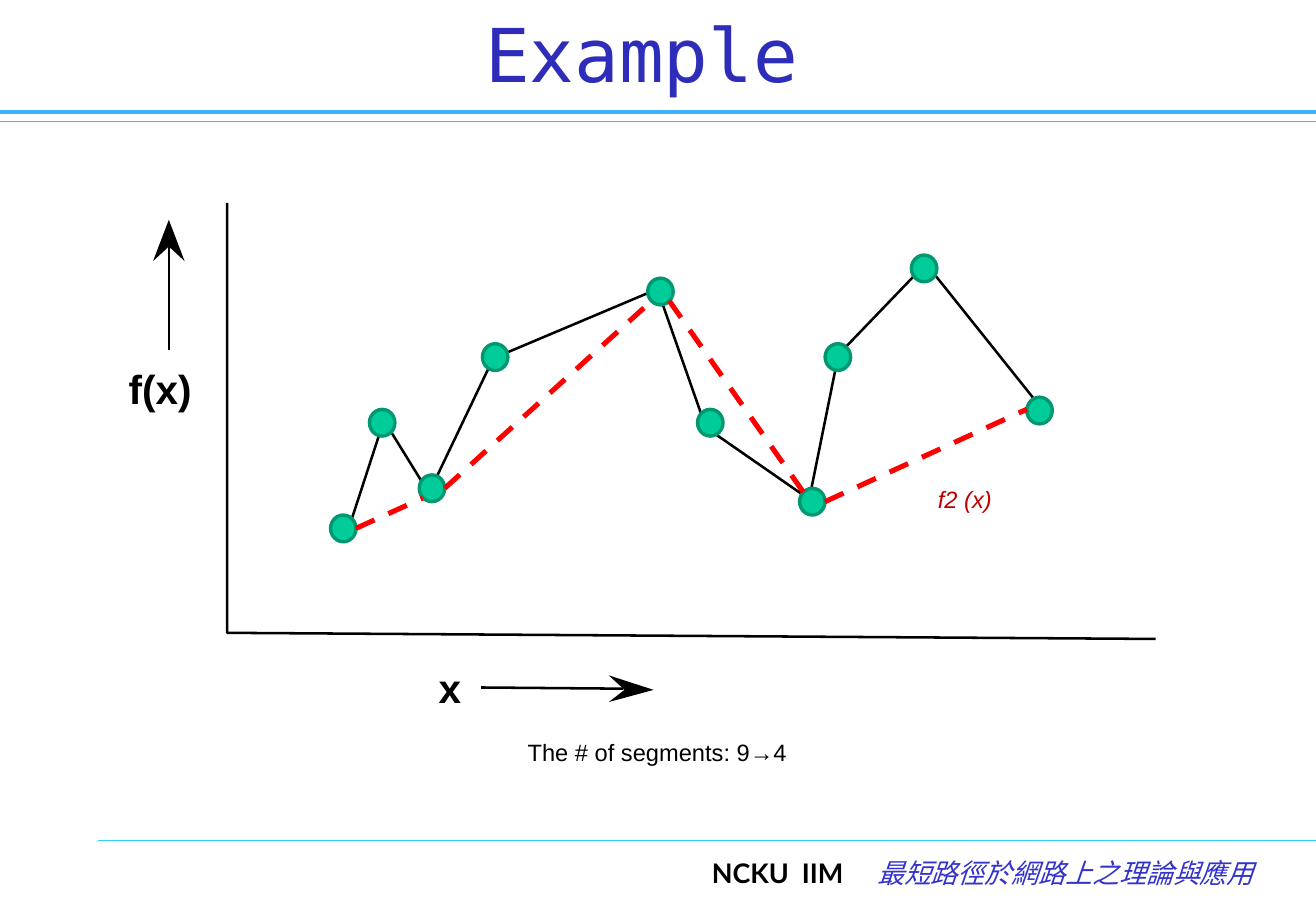
from lxml import etree
from pptx import Presentation
from pptx.dml.color import RGBColor
from pptx.enum.dml import MSO_LINE_DASH_STYLE as Dash
from pptx.enum.shapes import MSO_CONNECTOR as Conn, MSO_SHAPE as Shape
from pptx.enum.text import MSO_ANCHOR as Anchor, MSO_AUTO_SIZE as AutoSize, PP_ALIGN as Align
from pptx.oxml.ns import qn
from pptx.util import Inches, Pt

BLACK = RGBColor(0x00, 0x00, 0x00)
RED = RGBColor(0xFF, 0x00, 0x00)
DARK_RED = RGBColor(0xC0, 0x00, 0x00)
TITLE_BLUE = RGBColor(0x2D, 0x2D, 0xB9)
FOOTER_BLUE = RGBColor(0x33, 0x33, 0xCC)
RULE_BLUE = RGBColor(0x3D, 0xB0, 0xFF)
RULE_CYAN = RGBColor(0x33, 0xCC, 0xFF)
GREEN = RGBColor(0x00, 0xCC, 0x99)
DARK_GREEN = RGBColor(0x00, 0x97, 0x71)

MONO = "DejaVu Sans Mono"
SLIDE_W, SLIDE_H = 10.83, 7.5
DOT_W, DOT_H = 0.21, 0.22

AXES = [(1.87, 1.67), (1.87, 5.21), (9.51, 5.26)]
X_ARROWHEAD = [(5.38, 5.68), (5.01, 5.78), (5.14, 5.68), (5.01, 5.56)]
Y_ARROWHEAD = [(1.39, 1.81), (1.52, 2.15), (1.39, 2.03), (1.26, 2.15)]
CURVE = [(2.87, 4.35), (3.16, 3.46), (3.53, 4.06), (4.06, 2.95), (5.41, 2.38),
         (5.81, 3.52), (6.66, 4.11), (6.9, 2.92), (7.62, 2.17), (8.57, 3.36)]
DOTS = [(2.72, 4.24), (3.04, 3.37), (3.45, 3.91), (3.97, 2.83), (5.33, 2.29),
        (5.74, 3.37), (6.58, 4.02), (6.79, 2.83), (7.5, 2.1), (8.45, 3.27)]
SHORTCUTS = [((2.93, 4.35), (3.48, 4.1)), ((3.66, 4.02), (5.36, 2.48)),
             ((6.61, 4.05), (5.51, 2.48)), ((6.79, 4.13), (8.45, 3.37))]


def add_line(slide, start, end, color, width, dash=None):
    ends = [Inches(v) for v in (*start, *end)]
    line = slide.shapes.add_connector(Conn.STRAIGHT, *ends)
    line.line.color.rgb = color
    line.line.width = Pt(width)
    if dash:
        line.line.dash_style = dash
    etree.SubElement(line._element.spPr, qn("a:effectLst"))


def add_outline(slide, points, closed):
    """Draw a filled black polygon if closed, else an open black polyline."""
    pts = [(Inches(x), Inches(y)) for x, y in points]
    builder = slide.shapes.build_freeform(*pts[0])
    builder.add_line_segments(pts[1:], close=closed)
    sp = builder.convert_to_shape()
    sp.shadow.inherit = False
    if closed:
        sp.fill.solid()
        sp.fill.fore_color.rgb = BLACK
        sp.line.fill.background()
    else:
        sp.fill.background()
        sp.line.color.rgb = BLACK
        sp.line.width = Pt(1.5)


def add_dot(slide, left, top):
    sp = slide.shapes.add_shape(Shape.OVAL, Inches(left), Inches(top),
                                Inches(DOT_W), Inches(DOT_H))
    sp.shadow.inherit = False
    sp.fill.solid()
    sp.fill.fore_color.rgb = GREEN
    sp.line.color.rgb = DARK_GREEN
    sp.line.width = Pt(2)


def add_text(slide, box, text, size, color, name="Arial", bold=False, italic=False,
             align=Align.LEFT, wrap=False, inset=True, anchor=Anchor.TOP):
    tf = slide.shapes.add_textbox(*[Inches(v) for v in box]).text_frame
    tf.word_wrap = wrap
    tf.auto_size = AutoSize.NONE if wrap else AutoSize.SHAPE_TO_FIT_TEXT
    tf.vertical_anchor = anchor
    if not inset:
        tf.margin_left = tf.margin_right = tf.margin_top = tf.margin_bottom = 0
    p = tf.paragraphs[0]
    p.text = text
    p.alignment = align
    p.font.name = name
    p.font.size = Pt(size)
    p.font.bold = bold
    p.font.italic = italic
    p.font.color.rgb = color


def add_frame(slide):
    """Add the title, the rules and the footer."""
    add_line(slide, (0, 1), (SLIDE_W, 1), RULE_BLUE, 0.75)
    add_line(slide, (0, 0.92), (SLIDE_W, 0.92), RULE_BLUE, 2.5)
    add_line(slide, (0.81, 6.92), (SLIDE_W, 6.92), RULE_CYAN, 0.75)
    add_text(slide, (0.29, 0, 9.98, 0.87), "Example", 44, TITLE_BLUE, MONO,
             align=Align.CENTER, wrap=True, anchor=Anchor.MIDDLE)
    add_text(slide, (5.04, 7, 2, 0.5), "NCKU  IIM", 16, BLACK, "Lato", bold=True,
             align=Align.RIGHT, wrap=True)
    add_text(slide, (6.92, 7, 3.5, 0.5), "最短路徑於網路上之理論與應用", 16, FOOTER_BLUE,
             MONO, italic=True, align=Align.RIGHT, wrap=True)


def add_axes(slide):
    add_outline(slide, AXES, closed=False)
    add_text(slide, (3.61, 5.46, 0.19, 0.4), "x", 24, BLACK, bold=True, inset=False)
    add_outline(slide, X_ARROWHEAD, closed=True)
    add_line(slide, (3.96, 5.66), (5.13, 5.67), BLACK, 1.5)
    add_outline(slide, Y_ARROWHEAD, closed=True)
    add_line(slide, (1.39, 2.88), (1.39, 2.03), BLACK, 1.5)
    add_text(slide, (1.06, 3, 0.52, 0.4), "f(x)", 24, BLACK, bold=True, inset=False)


def add_functions(slide):
    add_outline(slide, CURVE, closed=False)
    for left, top in DOTS:
        add_dot(slide, left, top)
    for start, end in SHORTCUTS:
        add_line(slide, start, end, RED, 3, Dash.DASH)
    add_text(slide, (7.62, 3.94, 0.65, 0.34), "f2 (x)", 14, DARK_RED, italic=True)
    add_text(slide, (4.24, 6.03, 2.34, 0.34), "The # of segments: 9→4", 14, BLACK,
             align=Align.CENTER)


def main():
    prs = Presentation()
    prs.slide_width, prs.slide_height = Inches(SLIDE_W), Inches(SLIDE_H)
    slide = prs.slides.add_slide(prs.slide_layouts[6])
    add_frame(slide)
    add_axes(slide)
    add_functions(slide)
    prs.save("out.pptx")


if __name__ == "__main__":
    main()
